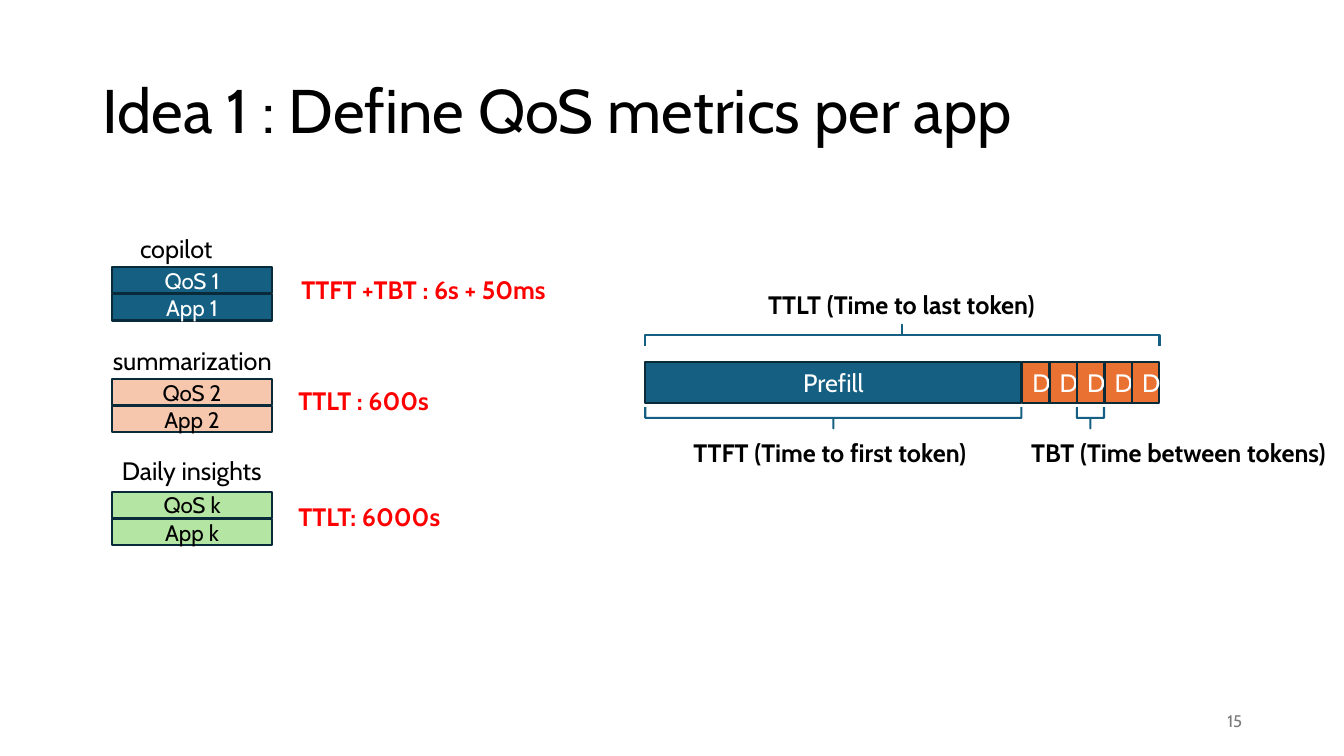
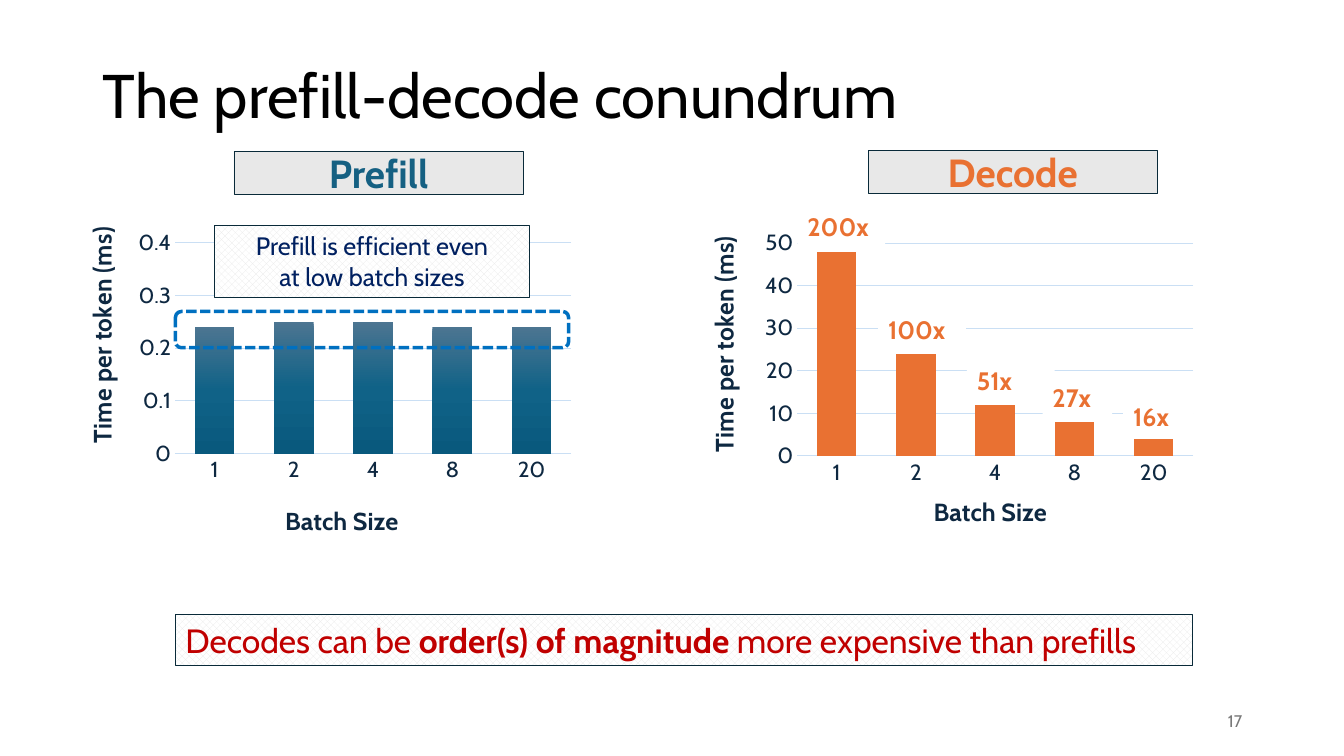
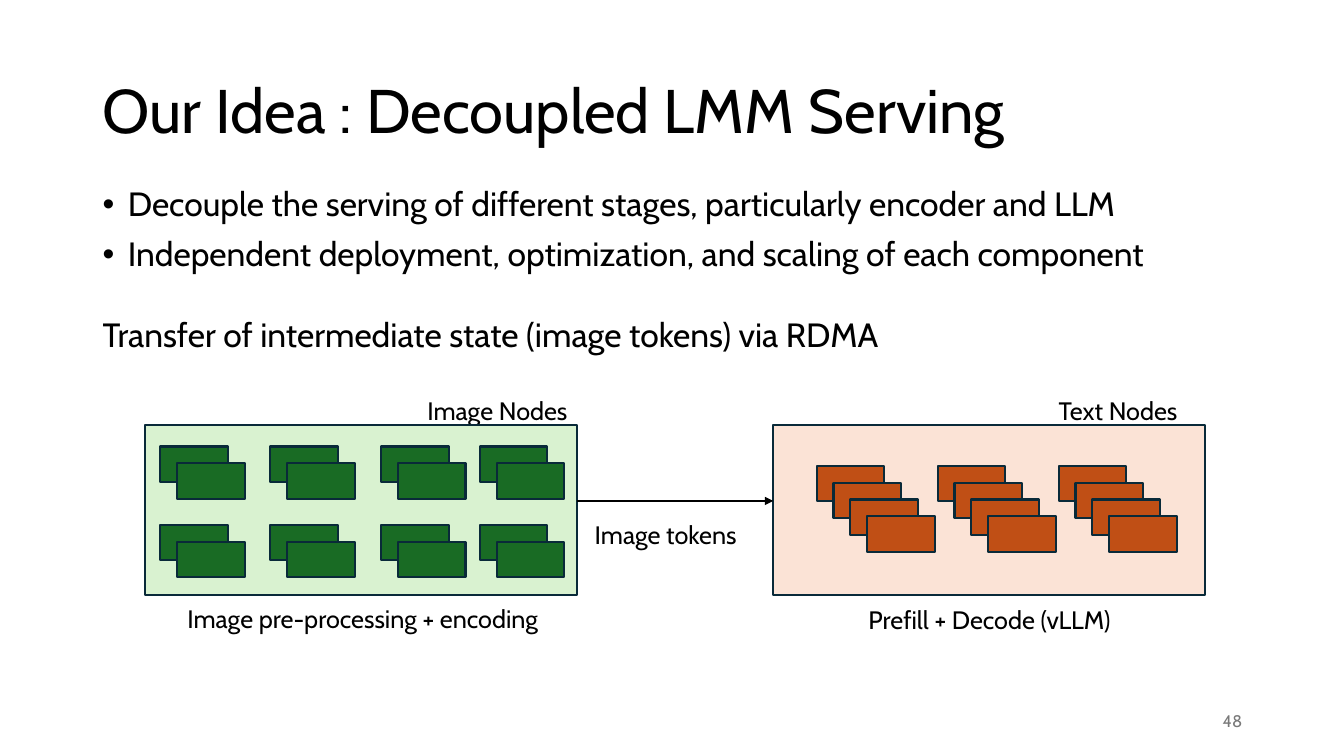
from dataclasses import dataclass, replace
from typing import NamedTuple, Optional

from pptx import Presentation
from pptx.chart.data import CategoryChartData
from pptx.dml.color import RGBColor
from pptx.enum.chart import XL_CHART_TYPE as ChartType, XL_TICK_MARK as Tick
from pptx.enum.dml import MSO_LINE_DASH_STYLE as Dash, MSO_PATTERN_TYPE as Pattern
from pptx.enum.shapes import MSO_CONNECTOR as Connector, MSO_SHAPE as Shape
from pptx.enum.text import MSO_ANCHOR as Anchor, PP_ALIGN as Align
from pptx.oxml import parse_xml
from pptx.oxml.ns import nsdecls, qn
from pptx.util import Emu, Pt

FONT = "Cabin"
EMU_PER_PX = 9144  # 100 px to the inch

BLACK = RGBColor(0x00, 0x00, 0x00)
WHITE = RGBColor(0xFF, 0xFF, 0xFF)
RED = RGBColor(0xFF, 0x00, 0x00)
DARK_RED = RGBColor(0xC0, 0x00, 0x00)
GRAY = RGBColor(0x79, 0x79, 0x79)
LIGHT_GRAY = RGBColor(0xE8, 0xE8, 0xE8)
OUTLINE = RGBColor(0x09, 0x2A, 0x39)
TEAL = RGBColor(0x15, 0x60, 0x82)
ORANGE = RGBColor(0xE9, 0x71, 0x32)
PEACH = RGBColor(0xF6, 0xC6, 0xAD)
PALE_PEACH = RGBColor(0xFB, 0xE3, 0xD6)
LIME = RGBColor(0xB4, 0xE5, 0xA2)
PALE_GREEN = RGBColor(0xD9, 0xF2, 0xD0)
GREEN = RGBColor(0x19, 0x6B, 0x24)
RUST = RGBColor(0xC0, 0x4F, 0x15)
NAVY = RGBColor(0x00, 0x20, 0x60)
INK = RGBColor(0x0E, 0x28, 0x41)
BLUE = RGBColor(0x00, 0x70, 0xC0)
GRID = RGBColor(0xCA, 0xDF, 0xF4)


class Box(NamedTuple):
    left: int
    top: int
    width: int
    height: int


@dataclass(frozen=True)
class Style:
    size: int = 18
    color: RGBColor = BLACK
    bold: bool = False
    align: Align = Align.LEFT
    anchor: Anchor = Anchor.TOP
    line_spacing: Optional[float] = None


BODY = Style()
STRONG = Style(bold=True)
CENTERED = Style(align=Align.CENTER, anchor=Anchor.MIDDLE)
TITLE = Style(size=44, anchor=Anchor.MIDDLE, line_spacing=0.9)
BULLETS = Style(size=24, line_spacing=0.9)
PAGE_NUMBER = Style(12, GRAY, align=Align.RIGHT, anchor=Anchor.MIDDLE)


class App(NamedTuple):
    name: str
    name_left: int
    name_top: int
    suffix: str
    top: int
    fill: RGBColor
    ink: RGBColor
    target: str
    target_left: int
    target_top: int


class Point(NamedTuple):
    x: float
    y: float


@dataclass(frozen=True)
class BarPlot:
    box: Box
    values: tuple
    maximum: float
    step: float
    plot_y: float
    value_title: Point
    category_title: Point


class Cluster(NamedTuple):
    """A framed set of nodes, each node a cascade of cards."""
    frame: Box
    fill: RGBColor
    card_fill: RGBColor
    columns: tuple
    rows: tuple
    cards: int
    name: str
    name_left: int


def px(n: float) -> Emu:
    return Emu(round(n * EMU_PER_PX))


def place(box: Box) -> list:
    return [px(n) for n in box]


def add_run(p, text: str, style: Style) -> None:
    r = p.add_run()
    r.text = text
    r.font.name = FONT
    r.font.size = Pt(style.size)
    r.font.bold = style.bold
    r.font.color.rgb = style.color


def write(tf, text: str, style: Style) -> None:
    """Write one paragraph per line of text."""
    tf.word_wrap = True
    tf.vertical_anchor = style.anchor
    for i, line in enumerate(text.split("\n")):
        p = tf.add_paragraph() if i else tf.paragraphs[0]
        p.alignment = style.align
        if style.line_spacing:
            p.line_spacing = style.line_spacing
        add_run(p, line, style)


def add_text(s, box: Box, text: str, style: Style = BODY):
    tf = s.shapes.add_textbox(*place(box)).text_frame
    write(tf, text, style)
    return tf


def add_box(s, box: Box, fill: Optional[RGBColor] = None, line: Optional[RGBColor] = OUTLINE,
            weight: float = 1.5, text: str = "", style: Style = CENTERED, kind=Shape.RECTANGLE):
    sp = s.shapes.add_shape(kind, *place(box))
    sp.shadow.inherit = False
    if fill is None:
        sp.fill.background()
    else:
        sp.fill.solid()
        sp.fill.fore_color.rgb = fill
    if line is None:
        sp.line.fill.background()
    else:
        sp.line.color.rgb = line
        sp.line.width = Pt(weight)
    if text:
        write(sp.text_frame, text, style)
    return sp


def add_callout(s, box: Box, text: str, style: Style):
    sp = add_box(s, box, weight=0.75, text=text, style=style)
    sp.fill.patterned()
    sp.fill.pattern = Pattern.PERCENT_50
    sp.fill.fore_color.rgb = LIGHT_GRAY
    sp.fill.back_color.rgb = WHITE
    return sp


def add_brace(s, left: int, right: int, top: int, rotation: int) -> None:
    """Lay a square brace flat across left to right; 90 points down, 270 up."""
    span, depth = right - left, 21
    box = Box(left + (span - depth) / 2, top + (depth - span) / 2, depth, span)
    sp = add_box(s, box, line=TEAL, kind=Shape.RIGHT_BRACE)
    sp.adjustments[0] = 0
    sp.rotation = rotation


def add_arrow(s, x1: int, x2: int, y: int) -> None:
    cx = s.shapes.add_connector(Connector.STRAIGHT, px(x1), px(y), px(x2), px(y))
    cx.line.color.rgb = BLACK
    cx.line.width = Pt(1.5)
    cx.line._get_or_add_ln().append(parse_xml(f'<a:tailEnd {nsdecls("a")} type="triangle"/>'))
    cx._element.spPr.append(parse_xml(f'<a:effectLst {nsdecls("a")}/>'))


def add_bullet(p) -> None:
    pPr = p._p.get_or_add_pPr()
    pPr.set("marL", str(px(25)))
    pPr.set("indent", str(px(-25)))
    pPr.append(parse_xml(f'<a:buFont {nsdecls("a")} typeface="Arial"/>'))
    pPr.append(parse_xml(f'<a:buChar {nsdecls("a")} char="•"/>'))


def set_layout(parent, index: int, at: Point, size: Optional[Point] = None) -> None:
    """Fix a chart part at fractions of the chart's width and height."""
    old = parent.find(qn("c:layout"))
    if old is not None:
        parent.remove(old)
    items = ['<c:layoutTarget val="inner"/>'] if size else []
    items += ['<c:xMode val="edge"/><c:yMode val="edge"/>',
              f'<c:x val="{at.x}"/><c:y val="{at.y}"/>']
    if size:
        items.append(f'<c:w val="{size.x}"/><c:h val="{size.y}"/>')
    parent.insert(index, parse_xml(
        f'<c:layout {nsdecls("c")}><c:manualLayout>{"".join(items)}</c:manualLayout></c:layout>'))


def style_axis(axis, title: str, at: Point) -> None:
    axis.major_tick_mark = axis.minor_tick_mark = Tick.NONE
    font = axis.tick_labels.font
    font.name, font.size = FONT, Pt(16)
    font.color.rgb = INK
    add_run(axis.axis_title.text_frame.paragraphs[0], title, Style(18, INK, True))
    set_layout(axis.axis_title._element, 1, at)


def add_bar_chart(s, plot: BarPlot):
    """Draw the columns and return their series, still to be filled."""
    data = CategoryChartData()
    data.categories = ["1", "2", "4", "8", "20"]
    data.add_series("Series 1", plot.values)
    chart = s.shapes.add_chart(ChartType.COLUMN_CLUSTERED, *place(plot.box), data).chart
    chart.has_legend = chart.has_title = False
    chart.font.name, chart.font.size = FONT, Pt(10)
    bars = chart.plots[0]
    bars.gap_width, bars.overlap, bars.vary_by_categories = 100, -24, False

    cat, val = chart.category_axis, chart.value_axis
    style_axis(cat, "Batch Size", plot.category_title)
    style_axis(val, "Time per token (ms)", plot.value_title)
    body = val.axis_title.text_frame._txBody.bodyPr
    body.set("rot", "-5400000")
    body.set("vert", "horz")
    val.minimum_scale, val.maximum_scale, val.major_unit = 0, plot.maximum, plot.step
    val.format.line.fill.background()
    for line in (cat.format.line, val.major_gridlines.format.line):
        line.color.rgb = GRID
        line.width = Pt(0.75)
    set_layout(chart._chartSpace.chart.plotArea, 0, Point(0.23, plot.plot_y), Point(0.75, 0.66))
    return bars.series[0]


def fill_gradient(series) -> None:
    stops = "".join(f'<a:gs pos="{pos}"><a:srgbClr val="{color}"/></a:gs>'
                    for pos, color in ((0, "4C7591"), (50000, "106287"), (100000, "09597D")))
    series._element.get_or_add_spPr().append(parse_xml(
        f'<a:gradFill {nsdecls("a")}><a:gsLst>{stops}</a:gsLst><a:lin ang="5400000"/></a:gradFill>'))


def new_slide(prs, title: str, number: int, title_top: int = 40):
    s = prs.slides.add_slide(prs.slide_layouts[6])
    add_text(s, Box(92, title_top, 1150, 145), title, TITLE)
    add_text(s, Box(942, 695, 300, 40), str(number), PAGE_NUMBER)
    return s


def build_metrics(prs) -> None:
    s = new_slide(prs, "Idea 1 : Define QoS metrics per app", 15)
    apps = (
        App("copilot", 129, 227, "1", 265, TEAL, WHITE, "TTFT +TBT : 6s + 50ms", 289, 267),
        App("summarization", 102, 338, "2", 376, PEACH, BLACK, "TTLT : 600s", 286, 377),
        App("Daily insights", 111, 447, "k", 488, LIME, BLACK, "TTLT: 6000s", 286, 492),
    )
    for app in apps:
        add_text(s, Box(app.name_left, app.name_top, 272, 40), app.name)
        label = replace(CENTERED, size=16, color=app.ink)
        for row, word in ((1, "App"), (0, "QoS")):
            add_box(s, Box(111, app.top + 27 * row, 159, 26), app.fill,
                    text=f"{word} {app.suffix}", style=label)
        add_text(s, Box(app.target_left, app.target_top, 272, 40), app.target,
                 replace(STRONG, color=RED))

    start, decode_start, decode_width, decodes = 640, 1014, 27.25, 5
    on_dark = replace(CENTERED, color=WHITE)
    add_box(s, Box(start, 359, 373, 41), TEAL, text="Prefill", style=on_dark)
    for i in range(decodes):
        add_box(s, Box(decode_start + i * decode_width, 359, 27, 41), ORANGE,
                text="D", style=on_dark)
    add_brace(s, start, decode_start - 1, 404, 90)
    add_brace(s, 1068, 1095, 404, 90)
    add_brace(s, start, 1150, 322, 270)
    for left, top, text in ((678, 429, "TTFT (Time to first token)"),
                            (1013, 429, "TBT (Time between tokens)"),
                            (752, 282, "TTLT (Time to last token)")):
        add_text(s, Box(left, top, 324, 40), text, STRONG)


def build_conundrum(prs) -> None:
    s = new_slide(prs, "The prefill-decode conundrum", 17, title_top=25)
    prefill = BarPlot(Box(53, 214, 524, 326), (0.24, 0.25, 0.25, 0.24, 0.24), 0.4, 0.1,
                      0.085, Point(0.05, 0.04), Point(0.43, 0.89))
    decode = BarPlot(Box(670, 205, 524, 326), (48, 24, 12, 8, 4), 50, 10,
                     0.113, Point(0.05, 0.09), Point(0.48, 0.88))
    fill_gradient(add_bar_chart(s, prefill))
    fill = add_bar_chart(s, decode).format.fill
    fill.solid()
    fill.fore_color.rgb = ORANGE

    for left, top, width, ratio in ((791, 205, 87, "200x"), (871, 307, 87, "100x"),
                                    (959, 358, 87, "51x"), (1034, 374, 69, "27x"),
                                    (1114, 393, 69, "16x")):
        add_box(s, Box(left, top, width, 40), WHITE, None,
                text=ratio, style=replace(STRONG, color=ORANGE))
    for left, top, text, color in ((232, 150, "Prefill", TEAL), (861, 149, "Decode", ORANGE)):
        add_box(s, Box(left, top, 287, 43), LIGHT_GRAY, weight=0.5, text=text,
                style=replace(CENTERED, size=28, color=color, bold=True))

    plain = Style(24, DARK_RED)
    verdict = add_callout(s, Box(174, 610, 1009, 50), "Decodes can be ", plain)
    p = verdict.text_frame.paragraphs[0]
    add_run(p, "order(s) of magnitude ", replace(plain, bold=True))
    add_run(p, "more expensive than prefills", plain)
    add_callout(s, Box(213, 224, 312, 71), "Prefill is efficient even\nat low batch sizes",
                Style(color=NAVY, align=Align.CENTER))
    highlight = add_box(s, Box(174, 309, 390, 36), line=BLUE, weight=2.5,
                        kind=Shape.ROUNDED_RECTANGLE)
    highlight.line.dash_style = Dash.SQUARE_DOT


def add_cluster(s, cluster: Cluster) -> None:
    step = 16.75
    add_text(s, Box(cluster.name_left, 387, 202, 40), cluster.name)
    add_box(s, cluster.frame, cluster.fill)
    for top in cluster.rows:
        for left in cluster.columns:
            for i in range(cluster.cards):
                add_box(s, Box(left + i * step, top + i * step, 67, 35), cluster.card_fill)


def build_decoupled(prs) -> None:
    s = new_slide(prs, "Our Idea : Decoupled LMM Serving", 48)
    tf = add_text(s, Box(92, 181, 1150, 127),
                  "Decouple the serving of different stages, particularly encoder and LLM\n"
                  "Independent deployment, optimization, and scaling of each component", BULLETS)
    for p in tf.paragraphs:
        add_bullet(p)
    tf.paragraphs[1].space_before = Pt(10)
    add_text(s, Box(92, 307, 1148, 50),
             "Transfer of intermediate state (image tokens) via RDMA", Style(24))

    add_cluster(s, Cluster(Box(144, 422, 428, 168), PALE_GREEN, GREEN,
                           (159, 268, 378, 476), (443, 521), 2, "Image Nodes", 414))
    add_cluster(s, Cluster(Box(767, 422, 428, 168), PALE_PEACH, RUST,
                           (810, 930, 1050), (462,), 4, "Text Nodes", 1040))
    add_arrow(s, 572, 767, 497)
    add_text(s, Box(580, 510, 202, 40), "Image tokens")
    add_text(s, Box(176, 594, 383, 40), "Image pre-processing + encoding")
    add_text(s, Box(790, 595, 383, 40), "Prefill + Decode (vLLM)", Style(align=Align.CENTER))


def main() -> None:
    prs = Presentation()
    prs.slide_width, prs.slide_height = px(1333), px(750)
    for build in (build_metrics, build_conundrum, build_decoupled):
        build(prs)
    prs.save("out.pptx")


if __name__ == "__main__":
    main()
